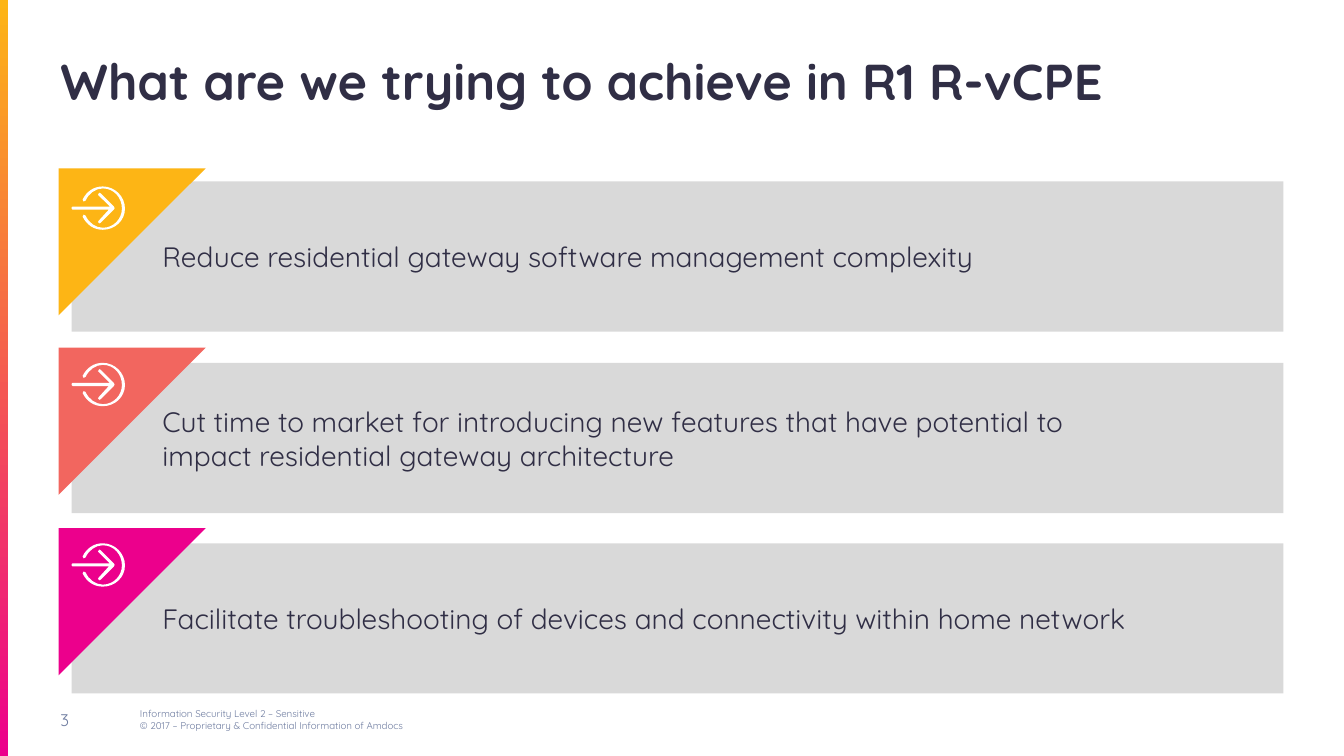
from lxml import etree
from pptx import Presentation
from pptx.dml.color import RGBColor
from pptx.enum import shapes, text
from pptx.oxml import ns
from pptx.util import Inches, Pt

FONT = "Quicksand"
INK, MUTED, PANEL, WHITE = "302E45", "6E7CA0", "D9D9D9", "FFFFFF"
YELLOW, CORAL, PINK = "FDB515", "F2665F", "EC008C"
UNITS = 1000

GOALS = [
    ("Reduce residential gateway software management complexity", YELLOW, 1.67, 1.8, 1.85),
    ("Cut time to market for introducing new features that have potential to \v"
     "impact residential gateway architecture", CORAL, 3.45, 3.6, 3.6),
    ("Facilitate troubleshooting of devices and connectivity within home network",
     PINK, 5.24, 5.39, 5.39),
]

ARROW = [
    (0.42, 0.23),
    (0.29, 0.36),
    (0.28, 0.37, 0.27, 0.37, 0.27, 0.36),
    (0.26, 0.36, 0.26, 0.35, 0.27, 0.34),
    (0.37, 0.23),
    (0.01, 0.23),
    (0.01, 0.23, 0, 0.23, 0, 0.22),
    (0, 0.21, 0, 0.2, 0.01, 0.2),
    (0.38, 0.2),
    (0.27, 0.09),
    (0.26, 0.09, 0.26, 0.08, 0.27, 0.07),
    (0.27, 0.06, 0.28, 0.06, 0.29, 0.07),
    (0.42, 0.2),
    (0.43, 0.21, 0.43, 0.22, 0.42, 0.23),
]
RING = [
    (0.31, 0),
    (0.22, 0, 0.15, 0.05, 0.11, 0.13),
    (0.11, 0.14, 0.11, 0.14, 0.12, 0.15),
    (0.13, 0.15, 0.13, 0.15, 0.14, 0.14),
    (0.17, 0.07, 0.24, 0.02, 0.31, 0.02),
    (0.42, 0.02, 0.5, 0.11, 0.5, 0.22),
    (0.5, 0.32, 0.42, 0.41, 0.31, 0.41),
    (0.24, 0.41, 0.17, 0.36, 0.14, 0.29),
    (0.13, 0.28, 0.13, 0.28, 0.12, 0.28),
    (0.11, 0.29, 0.11, 0.29, 0.11, 0.3),
    (0.15, 0.38, 0.22, 0.43, 0.31, 0.43),
    (0.43, 0.43, 0.53, 0.34, 0.53, 0.22),
    (0.53, 0.1, 0.43, 0, 0.31, 0),
]


def color(value):
    return RGBColor.from_string(value)


def paint(shape, value):
    shape.shadow.inherit = False
    shape.fill.solid()
    shape.fill.fore_color.rgb = color(value)
    shape.line.fill.background()


def write(shape, wording, size, ink, left_inset, bold=False, anchor=text.MSO_ANCHOR.MIDDLE):
    frame = shape.text_frame
    frame.word_wrap = True
    frame.vertical_anchor = anchor
    frame.margin_left = Inches(left_inset)
    frame.text = wording
    paragraph = frame.paragraphs[0]
    paragraph.alignment = text.PP_ALIGN.LEFT
    paragraph.font.name = FONT
    paragraph.font.size = Pt(size)
    paragraph.font.bold = bold
    paragraph.font.color.rgb = color(ink)


def add_title(slide, left, top, width, height):
    title = slide.shapes.title
    title.left, title.top = Inches(left), Inches(top)
    title.width, title.height = Inches(width), Inches(height)
    write(title, "What are we trying to achieve in R1 R-vCPE", 36, INK, 0, True,
          text.MSO_ANCHOR.BOTTOM)
    frame = title.text_frame
    frame.margin_top = frame.margin_right = frame.margin_bottom = 0
    frame.auto_size = text.MSO_AUTO_SIZE.NONE


def add_side_bar(slide, left, top, width, height):
    bar = slide.shapes.add_shape(shapes.MSO_SHAPE.RECTANGLE, Inches(left), Inches(top),
                                 Inches(width), Inches(height))
    paint(bar, YELLOW)
    bar.fill.gradient()
    bar.fill.gradient_angle = 270
    for stop, value, position in zip(bar.fill.gradient_stops, (YELLOW, PINK), (0, 1)):
        stop.color.rgb = color(value)
        stop.position = position


def add_footer(slide, left, top, height):
    number = slide.shapes.add_textbox(Inches(left), Inches(top), Inches(0.69), Inches(height))
    write(number, "3", 12, MUTED, 0)
    notice = slide.shapes.add_textbox(Inches(left + 0.69), Inches(top), Inches(4.5),
                                      Inches(height))
    write(notice, "Information Security Level 2 – Sensitive\v"
          "© 2017 – Proprietary & Confidential Information of Amdocs", 7, MUTED, 0.1)


def bend(segment, steps):
    segment.tag = ns.qn("a:cubicBezTo")
    for index in (0, 2):
        control = etree.Element(ns.qn("a:pt"), x=str(round(steps[index] * UNITS)),
                                y=str(round(steps[index + 1] * UNITS)))
        segment.insert(index // 2, control)


def add_arrow_icon(slide, left, top):
    builder = slide.shapes.build_freeform(*[value * UNITS for value in ARROW[0]],
                                          scale=Inches(1) / UNITS)
    for outline in (ARROW, RING):
        ends = [(steps[-2] * UNITS, steps[-1] * UNITS) for steps in outline]
        if outline is RING:
            builder.move_to(*ends[0])
        builder.add_line_segments(ends[1:], close=True)
    icon = builder.convert_to_shape(Inches(left), Inches(top))
    paint(icon, WHITE)
    segments = list(icon.element.iter(ns.qn("a:lnTo")))
    for segment, steps in zip(segments, ARROW[1:] + RING[1:]):
        if len(steps) == 6:
            bend(segment, steps)


def add_panel(slide, wording, left, top, width, height):
    panel = slide.shapes.add_shape(shapes.MSO_SHAPE.RECTANGLE, Inches(left), Inches(top),
                                   Inches(width), Inches(height))
    paint(panel, PANEL)
    write(panel, wording, 20, INK, 0.9)


def add_badge(slide, fill, left, top, side, icon_top):
    corner = slide.shapes.add_shape(shapes.MSO_SHAPE.RIGHT_TRIANGLE, Inches(left), Inches(top),
                                    Inches(side), Inches(side))
    corner.rotation = 90
    paint(corner, fill)
    add_arrow_icon(slide, left + 0.13, icon_top)


def main():
    presentation = Presentation()
    presentation.slide_width, presentation.slide_height = Inches(13.33), Inches(7.5)
    slide = presentation.slides.add_slide(presentation.slide_layouts[5])
    add_side_bar(slide, 0, 0, 0.08, 7.5)
    add_footer(slide, 0.6, 6.94, 0.4)
    add_title(slide, 0.6, 0.49, 12.13, 0.61)
    for wording, fill, badge_top, panel_top, icon_top in GOALS:
        add_panel(slide, wording, 0.71, panel_top, 12.02, 1.49)
        add_badge(slide, fill, 0.58, badge_top, 1.46, icon_top)
    presentation.save("out.pptx")


if __name__ == "__main__":
    main()
